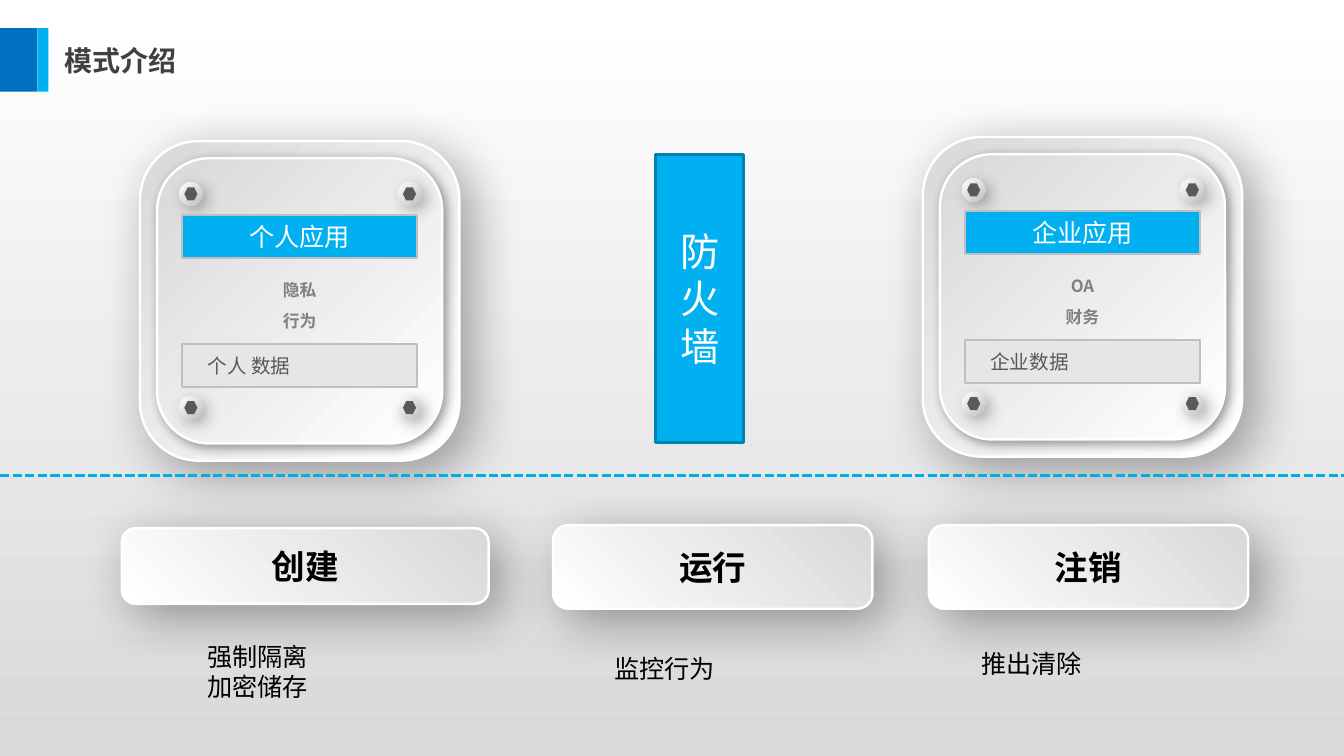
"""Build the slide that introduces the separation of personal and company apps."""
from lxml import etree
from pptx import Presentation
from pptx.dml.color import RGBColor
from pptx.enum.dml import MSO_LINE
from pptx.enum.shapes import MSO_CONNECTOR, MSO_SHAPE
from pptx.enum.text import MSO_ANCHOR, MSO_AUTO_SIZE, PP_ALIGN
from pptx.oxml.ns import qn
from pptx.util import Inches, Pt

RECTANGLE, ROUNDED = MSO_SHAPE.RECTANGLE, MSO_SHAPE.ROUNDED_RECTANGLE
OVAL, HEXAGON = MSO_SHAPE.OVAL, MSO_SHAPE.HEXAGON
LEFT, CENTER, JUSTIFY = PP_ALIGN.LEFT, PP_ALIGN.CENTER, PP_ALIGN.JUSTIFY
TOP, MIDDLE = MSO_ANCHOR.TOP, MSO_ANCHOR.MIDDLE
SANS, CALIBRI = "Noto Sans CJK SC", "Calibri"

WHITE = RGBColor(0xFF, 0xFF, 0xFF)
BLACK = RGBColor(0x00, 0x00, 0x00)
PALE = RGBColor(0xE6, 0xE6, 0xE6)
LIGHT = RGBColor(0xD9, 0xD9, 0xD9)
SILVER = RGBColor(0xBF, 0xBF, 0xBF)
GRAY = RGBColor(0x80, 0x80, 0x80)
SLATE = RGBColor(0x59, 0x59, 0x59)
CHARCOAL = RGBColor(0x40, 0x40, 0x40)
SKY = RGBColor(0x00, 0xB0, 0xF0)
BLUE = RGBColor(0x00, 0x70, 0xC0)
TEAL = RGBColor(0x00, 0x82, 0xB2)
DASH_BLUE = RGBColor(0x00, 0xAC, 0xEB)

CARD_SHADOW, PANEL_SHADOW, SCREW_SHADOW = (35, 37, 12), (40, 8, 3), (29, 11, 5)


def add_box(kind, left, top, width, height, fill, line=None, shadow=None, angle=315):
    """Add a shape; a pair of fill colours makes a gradient."""
    box = slide.shapes.add_shape(
        kind, Inches(left), Inches(top), Inches(width), Inches(height))
    if kind == ROUNDED:
        box.adjustments[0] = 0.183
    if isinstance(fill, RGBColor):
        box.fill.solid()
        box.fill.fore_color.rgb = fill
    else:
        box.fill.gradient()
        box.fill.gradient_angle = angle
        for stop, color in zip(box.fill.gradient_stops, fill):
            stop.color.rgb = color
    if line:
        box.line.color.rgb, box.line.width = line[0], Pt(line[1])
    else:
        box.line.fill.background()
    box.shadow.inherit = False
    if shadow:
        alpha, blur, distance = shadow
        effects = box._element.spPr.find(qn("a:effectLst"))
        outer = etree.SubElement(
            effects, qn("a:outerShdw"), blurRad=str(Pt(blur)), dist=str(Pt(distance)),
            dir="2700000", algn="tl", rotWithShape="0")
        color = etree.SubElement(outer, qn("a:srgbClr"), val=str(BLACK))
        etree.SubElement(color, qn("a:alpha"), val=str(alpha * 1000))
    return box


def write(box, lines, size, color, font=SANS, bold=False, align=CENTER, anchor=MIDDLE, spacing=1.0):
    """Fill a box with one paragraph per line."""
    frame = box.text_frame
    frame.text = "\n".join(lines)
    frame.word_wrap = True
    frame.auto_size = MSO_AUTO_SIZE.NONE
    frame.vertical_anchor = anchor
    for para in frame.paragraphs:
        para.alignment, para.line_spacing = align, spacing
        para.font.size, para.font.bold = Pt(size), bold
        para.font.color.rgb, para.font.name = color, font
        etree.SubElement(para._p.pPr.find(qn("a:defRPr")), qn("a:ea"), typeface=font)


deck = Presentation()
deck.slide_width, deck.slide_height = Inches(13.34), Inches(7.5)
slide = deck.slides.add_slide(deck.slide_layouts[5])
backdrop = slide.background.fill
backdrop.gradient()
backdrop.gradient_angle = 270
for stop, color in zip(backdrop.gradient_stops, (WHITE, LIGHT)):
    stop.color.rgb = color

title = slide.shapes.title
title.left, title.top = Inches(0.54), Inches(0.38)
title.width, title.height = Inches(4.33), Inches(0.44)
write(title, ["模式介绍"], 20, CHARCOAL, bold=True, align=LEFT)
add_box(RECTANGLE, 0.37, 0.28, 0.11, 0.63, SKY)
add_box(RECTANGLE, 0, 0.28, 0.37, 0.63, BLUE)

cards = [
    (1.39, 1.4, "个人应用", ["隐私", "行为"], "个人 数据"),
    (9.16, 1.36, "企业应用", ["OA", "财务"], "企业数据"),
]
for left, top, heading, features, data in cards:
    add_box(ROUNDED, left, top, 3.17, 3.17, (LIGHT, WHITE), (WHITE, 1.75), CARD_SHADOW)
    add_box(ROUNDED, left + 0.17, top + 0.17, 2.83, 2.83, (LIGHT, WHITE), (WHITE, 1.75), PANEL_SHADOW)
    for screw_top in (top + 0.41, top + 2.53):
        for screw_left in (left + 0.39, left + 2.56):
            add_box(OVAL, screw_left, screw_top, 0.23, 0.23, (WHITE, SILVER), shadow=SCREW_SHADOW)
            add_box(HEXAGON, screw_left + 0.05, screw_top + 0.05, 0.13, 0.13, SLATE)
    heading_bar = add_box(RECTANGLE, left + 0.42, top + 0.73, 2.33, 0.43, SKY, (SILVER, 1.25))
    write(heading_bar, [heading], 18, WHITE)
    feature_box = slide.shapes.add_textbox(
        Inches(left + 0.42), Inches(top + 1.23), Inches(2.33), Inches(0.67))
    write(feature_box, features, 12, GRAY, bold=True, anchor=TOP, spacing=1.5)
    data_bar = add_box(RECTANGLE, left + 0.42, top + 2.01, 2.33, 0.43, PALE, (SILVER, 1.25))
    write(data_bar, [data], 14, SLATE, align=JUSTIFY)
    data_bar.text_frame.margin_left = Inches(0.25)

stages = [
    ("创建", (1.21, 5.24, 3.64, 0.75), ["强制隔离", "加密储存"], (1.96, 6.31, 2.74, 0.71)),
    ("运行", (5.49, 5.21, 3.17, 0.83), ["监控行为"], (6, 6.43, 2.74, 0.4)),
    ("注销", (9.22, 5.21, 3.17, 0.83), ["推出清除"], (9.64, 6.38, 2.74, 0.4)),
]
for stage, button_place, actions, action_place in stages:
    button = add_box(ROUNDED, *button_place, (LIGHT, WHITE), (WHITE, 1.75), CARD_SHADOW, angle=225)
    write(button, [stage], 24, BLACK, CALIBRI, bold=True)
    action_box = slide.shapes.add_textbox(*map(Inches, action_place))
    write(action_box, actions, 18, BLACK, CALIBRI, align=LEFT, anchor=TOP)

divider = slide.shapes.add_connector(
    MSO_CONNECTOR.STRAIGHT, 0, Inches(4.72), Inches(13.34), Inches(4.72))
divider.line.color.rgb, divider.line.width = DASH_BLUE, Pt(2.25)
divider.line.dash_style = MSO_LINE.SQUARE_DOT
etree.SubElement(divider._element.spPr, qn("a:effectLst"))

firewall = add_box(RECTANGLE, 6.51, 1.53, 0.87, 2.86, SKY, (TEAL, 2))
write(firewall, ["防", "火", "墙"], 28, WHITE)

deck.save("out.pptx")
